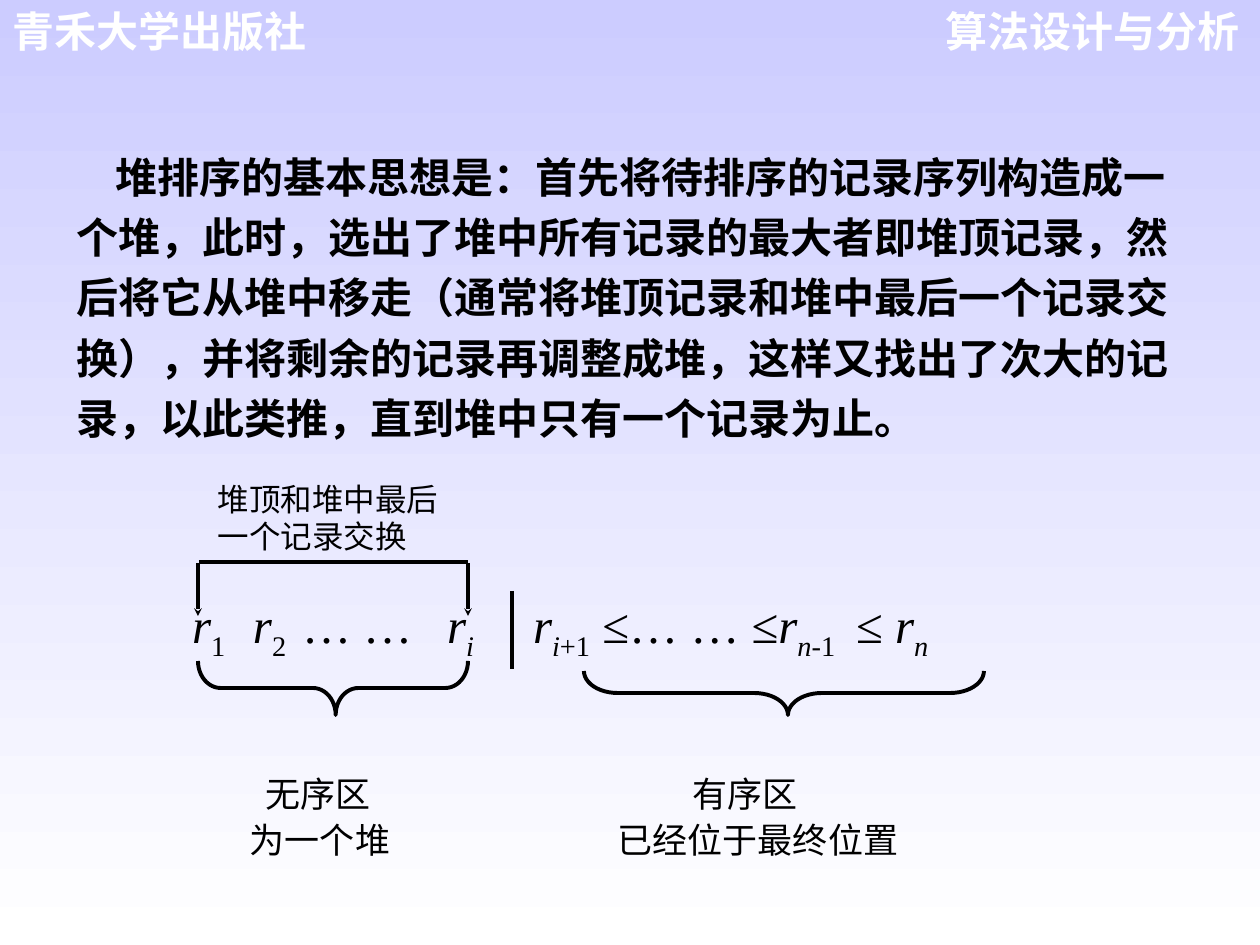
from lxml.etree import SubElement
from pptx import Presentation
from pptx.dml.color import RGBColor
from pptx.enum.shapes import MSO_CONNECTOR, MSO_SHAPE
from pptx.enum.text import MSO_ANCHOR, PP_ALIGN
from pptx.oxml.ns import qn
from pptx.util import Pt

PX = 914400 // 126
BLACK, WHITE, LAVENDER = "000000", "FFFFFF", "CCCCFF"
SERIF, SANS, CJK = "Times New Roman", "Arial", "Noto Sans CJK SC"


def rgb(value):
    return RGBColor.from_string(value)


def add_text(box, paragraphs, font, size, color=BLACK, bold=False, spacing=1.0,
             align=PP_ALIGN.LEFT, insets=(13, 6)):
    frame = slide.shapes.add_textbox(*[n * PX for n in box]).text_frame
    frame.word_wrap = True
    frame.vertical_anchor = MSO_ANCHOR.TOP
    frame.margin_left = frame.margin_right = insets[0] * PX
    frame.margin_top = frame.margin_bottom = insets[1] * PX
    for index, runs in enumerate(paragraphs):
        paragraph = frame.paragraphs[0] if index == 0 else frame.add_paragraph()
        paragraph.alignment = align
        paragraph.line_spacing = spacing
        for text, italic, baseline in runs:
            run = paragraph.add_run()
            run.text = text
            run.font.name = font
            run.font.size = Pt(size)
            run.font.bold = bold
            run.font.italic = italic
            run.font.color.rgb = rgb(color)
            if baseline:
                run.font._element.set("baseline", str(baseline * 1000))
    return frame


presentation = Presentation()
presentation.slide_width = 1260 * PX
presentation.slide_height = 945 * PX
slide = presentation.slides.add_slide(presentation.slide_layouts[6])

background = slide.background.fill
background.gradient()
background.gradient_angle = 270
for stop, color in zip(background.gradient_stops, (LAVENDER, WHITE)):
    stop.color.rgb = rgb(color)

for left, heading, align in [(912, "算法设计与分析", PP_ALIGN.RIGHT),
                             (0, "青禾大学出版社", PP_ALIGN.LEFT)]:
    add_text((left, 0, 341, 63), [[(heading, False, 0)]], SANS, 24, WHITE, True, align=align)

idea = ("堆排序的基本思想是：首先将待排序的记录序列构造成一个堆，此时，选出了堆中所有记录的最大者"
        "即堆顶记录，然后将它从堆中移走（通常将堆顶记录和堆中最后一个记录交换），并将剩余的记录再"
        "调整成堆，这样又找出了次大的记录，以此类推，直到堆中只有一个记录为止。")
idea_frame = add_text((64, 135, 1124, 315), [[(idea, False, 0)]], CJK, 24, bold=True, spacing=1.2)
idea_frame.paragraphs[0]._p.get_or_add_pPr().set("indent", str(39 * PX))

SUB = -25
records = [
    ("\t", False, 0), ("r", True, 0), ("1", False, SUB),
    ("\t", False, 0), ("r", True, 0), ("2", False, SUB),
    ("\t… …\t", False, 0), ("r", True, 0), ("i", True, SUB),
    ("\t", False, 0), ("r", True, 0), ("i", True, SUB), ("+1", False, SUB),
    (" ≤… … ≤", False, 0), ("r", True, 0), ("n", True, SUB), ("-1", False, SUB),
    ("\t≤ ", False, 0), ("r", True, 0), ("n", True, SUB),
]
zone_names = [("\t无序区\t有序区", False, 0)]
zone_notes = [("\t为一个堆\t已经位于最终位置", False, 0)]
sequence = add_text((144, 595, 979, 204), [records, zone_names, zone_notes], SERIF, 28,
                    insets=(13, 0))
for paragraph in sequence.paragraphs[1:]:
    paragraph.line_spacing = 1.1
    for run in paragraph.runs:
        run.font.size = Pt(20)
sequence.paragraphs[1].space_before = Pt(61)

tab_stops = [("l", (35, 96, 145, 290, 376, 699)), ("ctr", (161, 588)), ("ctr", (163, 601))]
for paragraph, (kind, stops) in zip(sequence.paragraphs, tab_stops):
    tab_list = SubElement(paragraph._p.get_or_add_pPr(), qn("a:tabLst"))
    for stop in stops:
        SubElement(tab_list, qn("a:tab"), pos=str(stop * PX), algn=kind)

for left, top, width, height, curve in [(762, 493, 44, 400, 0.77), (306, 553, 54, 270, 0.42)]:
    brace = slide.shapes.add_shape(MSO_SHAPE.LEFT_BRACE, left * PX, top * PX, width * PX, height * PX)
    brace.rotation = 270
    brace.adjustments[0] = curve
    brace.adjustments[1] = 0.51
    brace.shadow.inherit = False
    brace.fill.background()
    brace.line.color.rgb = rgb(BLACK)
    brace.line.width = Pt(2.25)

for x1, y1, x2, y2, arrow in [(512, 591, 512, 669, False), (199, 562, 468, 562, False),
                              (468, 563, 468, 616, True), (198, 563, 198, 616, True)]:
    line = slide.shapes.add_connector(MSO_CONNECTOR.STRAIGHT, x1 * PX, y1 * PX, x2 * PX, y2 * PX)
    line.line.color.rgb = rgb(BLACK)
    line.line.width = Pt(2.25)
    if arrow:
        SubElement(line.line._get_or_add_ln(), qn("a:tailEnd"), type="stealth", w="sm", len="sm")
    SubElement(line._element.spPr, qn("a:effectLst"))

add_text((218, 483, 239, 71), [[("堆顶和堆中最后", False, 0)], [("一个记录交换", False, 0)]],
         SERIF, 18, spacing=0.96, insets=(0, 0))

presentation.save("out.pptx")
